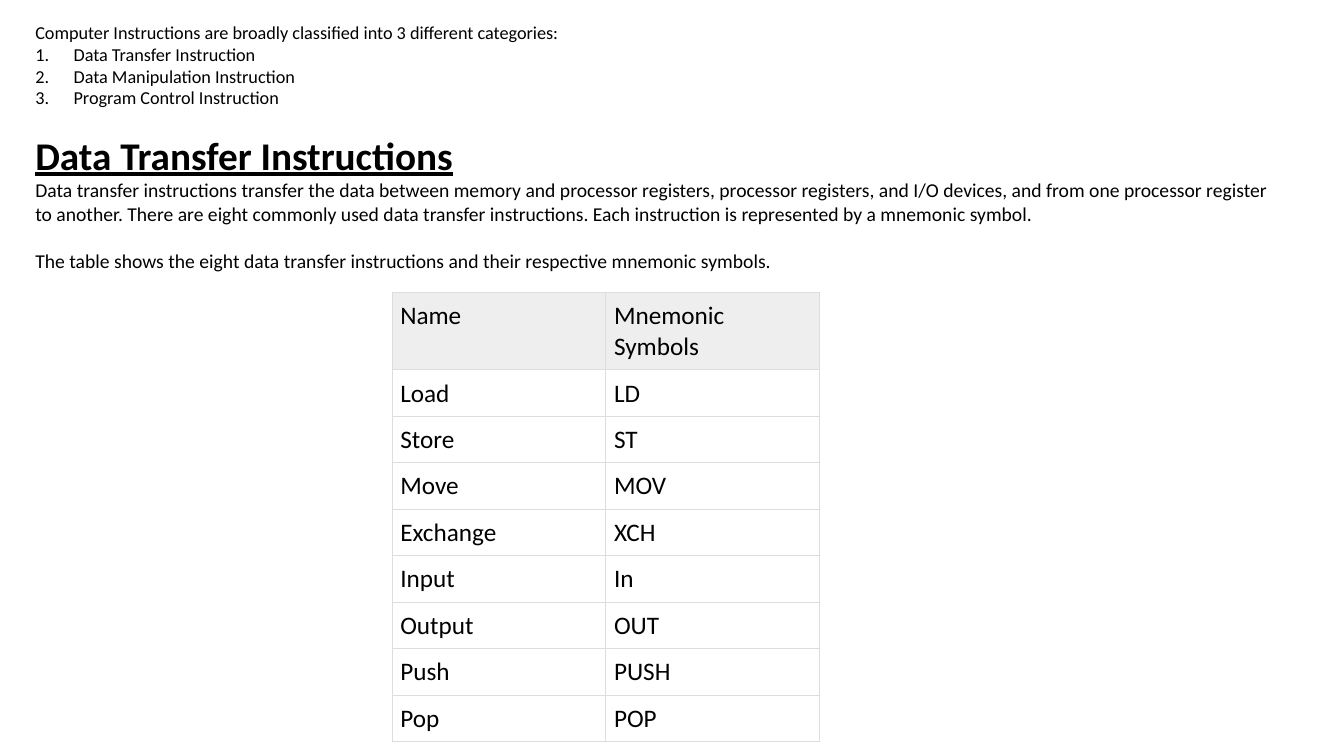
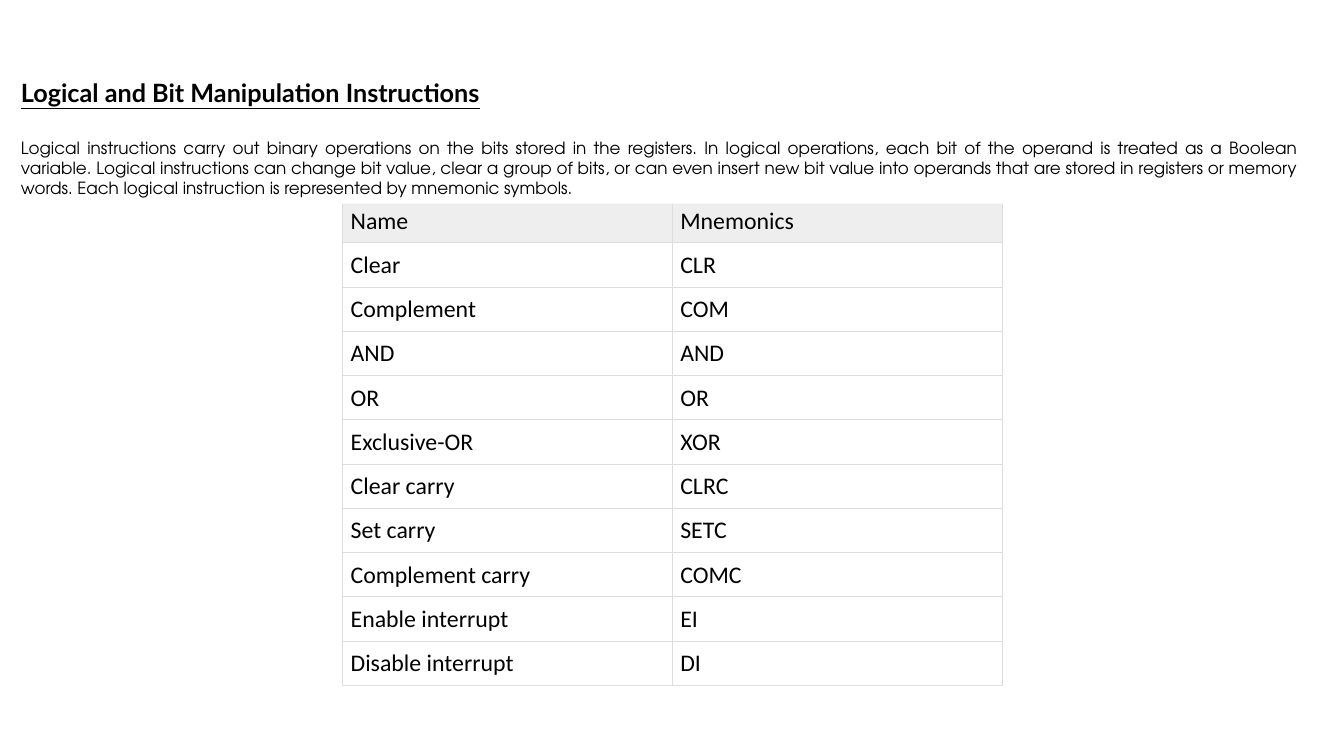
import pptx
import pptx.util
import pptx.dml.color
import pptx.enum.shapes
import pptx.enum.text
import pptx.oxml
import pptx.oxml.ns

Inches, Pt = pptx.util.Inches, pptx.util.Pt
BLACK, WHITE, HEADER_GREY, GRID_GREY = "000000", "FFFFFF", "EEEEEE", "DDDDDD"
NAMESPACE = pptx.oxml.ns.nsdecls("a")


def colour(hex_string):
    return pptx.dml.color.RGBColor.from_string(hex_string)


def add_instruction_table(page, left, top, column_width, header_height, row_height,
                          size, padding, rows):
    height = header_height + row_height * (len(rows) - 1)
    table = page.shapes.add_table(len(rows), 2, Inches(left), Inches(top),
                                  Inches(2 * column_width), Inches(height)).table
    table.first_row = table.horz_banding = False
    for row_index, texts in enumerate(rows):
        is_header = row_index == 0
        table.rows[row_index].height = Inches(header_height if is_header else row_height)
        for column_index, text in enumerate(texts):
            cell = table.cell(row_index, column_index)
            cell.margin_left = cell.margin_right = Pt(padding)
            cell.margin_top = cell.margin_bottom = Pt(padding)
            cell.text = text
            font = cell.text_frame.paragraphs[0].font
            font.name, font.size, font.color.rgb = "Calibri", Pt(size), colour(BLACK)
            # Borders come before the fill in the cell properties
            properties = cell._tc.get_or_add_tcPr()
            for side in ("lnL", "lnR", "lnT", "lnB"):
                properties.append(pptx.oxml.parse_xml(
                    f'<a:{side} {NAMESPACE} w="{Pt(0.75)}"><a:solidFill>'
                    f'<a:srgbClr val="{GRID_GREY}"/></a:solidFill></a:{side}>'))
            cell.fill.solid()
            cell.fill.fore_color.rgb = colour(HEADER_GREY if is_header else WHITE)


deck = pptx.Presentation()
deck.slide_width, deck.slide_height = Inches(13.33), Inches(7.5)
blank = deck.slide_layouts[6]

# Slide 1: categories and data transfer text
page = deck.slides.add_slide(blank)
box = page.shapes.add_textbox(Inches(0.35), Inches(0.21), Inches(12.41), Inches(2.73))
frame = box.text_frame
frame.word_wrap = True
frame.margin_left = frame.margin_right = frame.margin_top = frame.margin_bottom = 0

# Text, size, space before, numbered, heading
paragraphs = [
    ("Computer Instructions are broadly classified into 3 different categories:",
     13, 0, False, False),
    ("Data Transfer Instruction", 13, 0, True, False),
    ("Data Manipulation Instruction", 13, 0, True, False),
    ("Program Control Instruction", 13, 0, True, False),
    ("Data Transfer Instructions", 28, 16, False, True),
    ("Data transfer instructions transfer the data between memory and processor registers, "
     "processor registers, and I/O devices, and from one processor register to another. "
     "There are eight commonly used data transfer instructions. Each instruction is "
     "represented by a mnemonic symbol.", 14, 0, False, False),
    ("The table shows the eight data transfer instructions and their respective mnemonic "
     "symbols.", 14, 17, False, False),
]
for index, (text, size, space, numbered, heading) in enumerate(paragraphs):
    para = frame.add_paragraph() if index else frame.paragraphs[0]
    para.text = text
    para.space_before = Pt(space)
    para.font.name, para.font.size = "Calibri", Pt(size)
    para.font.color.rgb = colour(BLACK)
    para.font.bold = para.font.underline = heading
    if numbered:
        properties = para._p.get_or_add_pPr()
        properties.set("marL", str(Inches(0.38)))
        properties.set("indent", str(-Inches(0.38)))
        properties.insert_element_before(
            pptx.oxml.parse_xml(f'<a:buAutoNum {NAMESPACE} type="arabicPeriod"/>'),
            "a:tabLst", "a:defRPr", "a:extLst")

add_instruction_table(page, 3.89, 2.9, 2.12, 0.77, 0.46, 18, 5.8, [
    ("Name", "Mnemonic Symbols"), ("Load", "LD"), ("Store", "ST"), ("Move", "MOV"),
    ("Exchange", "XCH"), ("Input", "In"), ("Output", "OUT"), ("Push", "PUSH"),
    ("Pop", "POP")])

# Slide 2: the text panel overlaps the top edge of the table
page = deck.slides.add_slide(blank)
add_instruction_table(page, 3.4, 1.97, 3.27, 0.43, 0.43, 17, 5.6, [
    ("Name", "Mnemonics"), ("Clear", "CLR"), ("Complement", "COM"), ("AND", "AND"),
    ("OR", "OR"), ("Exclusive-OR", "XOR"), ("Clear carry", "CLRC"),
    ("Set carry", "SETC"), ("Complement carry", "COMC"), ("Enable interrupt", "EI"),
    ("Disable interrupt", "DI")])

panel = page.shapes.add_shape(pptx.enum.shapes.MSO_SHAPE.RECTANGLE, Inches(0.11),
                              Inches(0.71), Inches(12.87), Inches(1.31))
panel.shadow.inherit = False
panel.fill.solid()
panel.fill.fore_color.rgb = colour(WHITE)
panel.line.fill.background()
frame = panel.text_frame
frame.word_wrap = True
frame.vertical_anchor = pptx.enum.text.MSO_ANCHOR.MIDDLE
heading = frame.paragraphs[0]
heading.text = "Logical and Bit Manipulation Instructions"
heading.font.name, heading.font.size = "Lato", Pt(18)
heading.font.bold = heading.font.underline = True
body = frame.add_paragraph()
body.text = (
    "Logical instructions carry out binary operations on the bits stored in the registers. "
    "In logical operations, each bit of the operand is treated as a Boolean variable. "
    "Logical instructions can change bit value, clear a group of bits, or can even insert "
    "new bit value into operands that are stored in registers or memory words. Each logical "
    "instruction is represented by mnemonic symbols.")
body.font.name, body.font.size = "TeX Gyre Adventor", Pt(12)
body.space_before = Pt(22)
for para in frame.paragraphs:
    para.alignment = pptx.enum.text.PP_ALIGN.JUSTIFY
    para.font.color.rgb = colour(BLACK)

deck.save("out.pptx")
